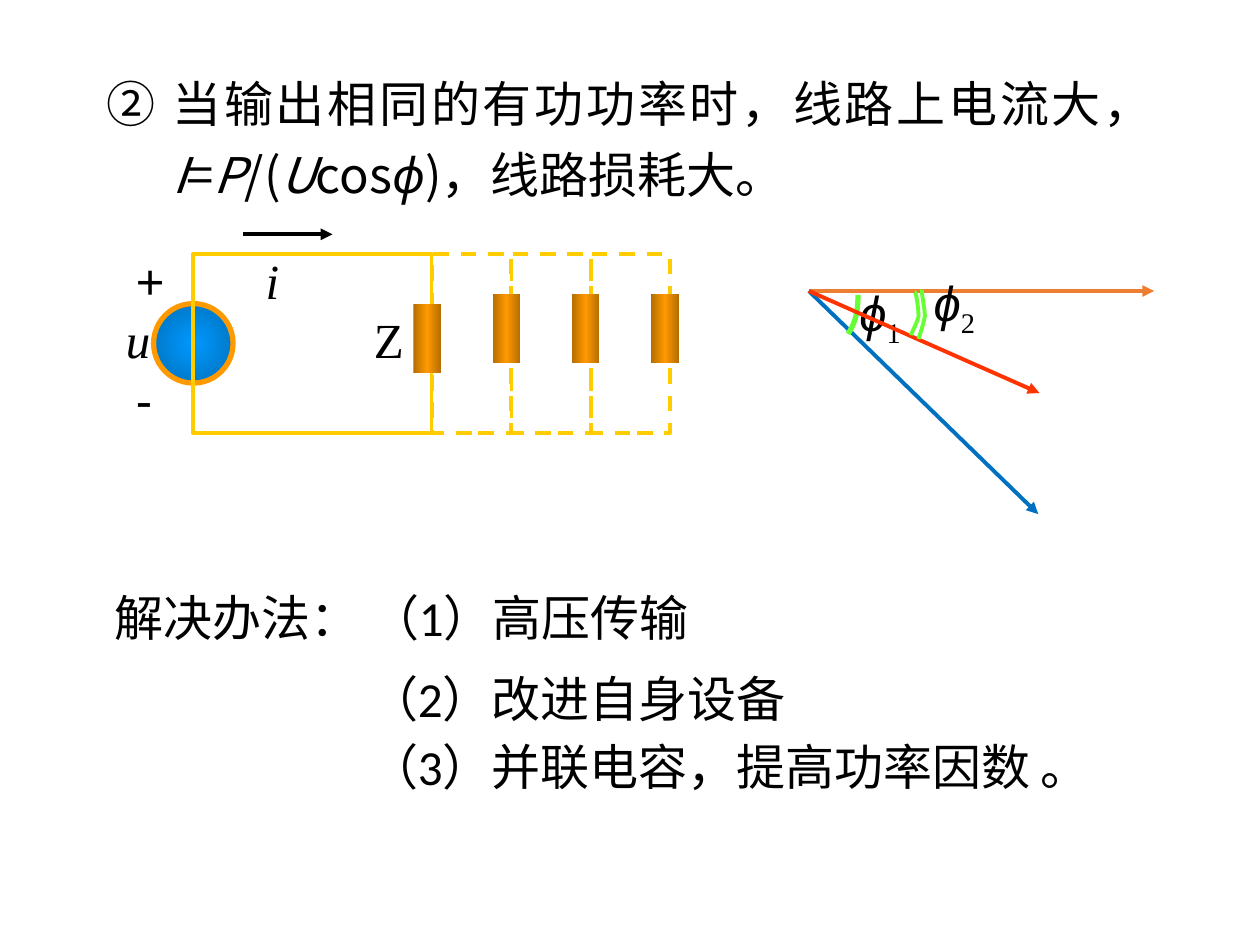
from lxml import etree
from pptx import Presentation
from pptx.dml.color import RGBColor
from pptx.enum.dml import MSO_LINE
from pptx.enum.shapes import MSO_CONNECTOR, MSO_SHAPE
from pptx.enum.text import MSO_ANCHOR, MSO_AUTO_SIZE, PP_ALIGN
from pptx.oxml.ns import qn
from pptx.util import Pt

BLACK = RGBColor(0x00, 0x00, 0x00)
YELLOW = RGBColor(0xFF, 0xCC, 0x00)
ORANGE = RGBColor(0xFF, 0x99, 0x00)
BROWN = RGBColor(0xB6, 0x6D, 0x00)
SKY = RGBColor(0x00, 0x99, 0xFF)
DEEP_BLUE = RGBColor(0x00, 0x6D, 0xB6)
COPPER = RGBColor(0xED, 0x7D, 0x31)
BLUE = RGBColor(0x00, 0x70, 0xC0)
RED = RGBColor(0xFF, 0x33, 0x00)
GREEN = RGBColor(0x66, 0xFF, 0x33)
RECTANGLE, OVAL = MSO_SHAPE.RECTANGLE, MSO_SHAPE.OVAL
STRAIGHT, DASH = MSO_CONNECTOR.STRAIGHT, MSO_LINE.DASH
LEFT, CENTER, JUSTIFY = PP_ALIGN.LEFT, PP_ALIGN.CENTER, PP_ALIGN.JUSTIFY
TOP, MIDDLE = MSO_ANCHOR.TOP, MSO_ANCHOR.MIDDLE
GROW = MSO_AUTO_SIZE.SHAPE_TO_FIT_TEXT
SANS, BODY, LATIN, SERIF = "Noto Sans CJK SC", "Calibri", "Arial", "Times New Roman"

ITALIC = {"italic": True}
SUBSCRIPT = {"font": SERIF, "baseline": -25000}
TITLE = [
    ("当输出相同的有功功率时，线路上电流大，", {}), ("I", ITALIC), ("=", {}), ("P", ITALIC),
    ("/(", {}), ("U", ITALIC), ("cos", {}), ("ϕ", ITALIC), (")，线路损耗大。", {}),
]
SOLUTIONS = [
    ("解决办法： （1）高压传输", {}),
    ("（2）改进自身设备", {"indent": 145.5, "spacing": 1.2, "before": 5.6}),
    ("（3）并联电容，提高功率因数 。", {"indent": 145.5, "before": 5.6}),
]
LABELS = [
    ("i", 144.7, 139.7, SERIF, True), ("+", 70.6, 139.7, LATIN, False),
    ("-", 70.6, 207.4, LATIN, False), ("u", 64.8, 173.5, SERIF, True),
    ("Z", 206.6, 173.5, SERIF, False),
]
ORIGIN = (462.2, 166.3)
VOLTAGE_END, FIRST_END, SECOND_END = (659.5, 166.3), (593.3, 293.8), (594, 224.6)
FIRST_ARC = [(484.6, 190.8), (488.9, 184.3), (490.3, 177.8), (490.3, 168.5)]
SECOND_ARCS = [
    [(522.7, 167), (523.4, 166.3), (524.9, 176.4), (524.9, 180.7),
     (524.2, 184.3), (521.3, 189.4), (520.6, 191.5)],
    [(527, 165.6), (526.3, 167), (528.5, 175.7), (528.5, 180.7),
     (527.8, 185), (525.6, 191.5), (524.9, 193.7)],
]
FRAME_LEFT, FRAME_TOP, FRAME_WIDTH, FRAME_HEIGHT = 110.2, 145.4, 136.4, 102.2
BRANCH_LEFT, BRANCH_WIDTH, BRANCH_COUNT = 247, 45.3, 3
LOAD_WIDTH, LOAD_HEIGHT = 15.8, 39.6
CURVE_STEPS = 12

deck = Presentation()
deck.slide_width, deck.slide_height = Pt(720), Pt(540)
page = deck.slides.add_slide(deck.slide_layouts[6])


def add_text(box, paragraph, spans, font=BODY):
    for text, style in spans:
        span = paragraph.add_run()
        span.text = text
        span.font.size = Pt(28)
        span.font.name = style.get("font", font)
        span.font.italic = style.get("italic", False)
        span.font.color.rgb = BLACK
        properties = span._r.get_or_add_rPr()
        if "baseline" in style:
            properties.set("baseline", str(style["baseline"]))
        etree.SubElement(properties, qn("a:ea"), typeface=SANS)


def add_box(text, left, top, width, height, font=BODY, align=LEFT, anchor=TOP,
            wrap=True, spacing=None):
    box = page.shapes.add_textbox(Pt(left), Pt(top), Pt(width), Pt(height))
    frame = box.text_frame
    frame.word_wrap, frame.auto_size, frame.vertical_anchor = wrap, GROW, anchor
    paragraph = frame.paragraphs[0]
    paragraph.alignment = align
    if spacing:
        paragraph.line_spacing = spacing
    spans = [(text, {})] if isinstance(text, str) else text
    add_text(box, paragraph, spans, font)
    return box


def add_figure(kind, left, top, width, height, line=None, weight=2.25, dash=None):
    figure = page.shapes.add_shape(kind, Pt(left), Pt(top), Pt(width), Pt(height))
    figure.shadow.inherit = False
    figure.fill.background()
    if line is None:
        figure.line.fill.background()
    else:
        figure.line.color.rgb, figure.line.width = line, Pt(weight)
        if dash:
            figure.line.dash_style = dash
    return figure


def set_gradient(figure, stops, radial=False):
    figure.fill.gradient()
    gradient = figure._element.spPr.find(qn("a:gradFill"))
    gradient.clear()
    stop_list = etree.SubElement(gradient, qn("a:gsLst"))
    for position, color in stops:
        stop = etree.SubElement(stop_list, qn("a:gs"), pos=str(position * 1000))
        etree.SubElement(stop, qn("a:srgbClr"), val=str(color))
    if radial:
        shade = etree.SubElement(gradient, qn("a:path"), path="circle")
        etree.SubElement(shade, qn("a:fillToRect"), l="50000", t="50000", r="50000", b="50000")
    else:
        etree.SubElement(gradient, qn("a:lin"), ang="0", scaled="1")


def add_load(left, top):
    load = add_figure(RECTANGLE, left, top, LOAD_WIDTH, LOAD_HEIGHT)
    set_gradient(load, [(0, BROWN), (50, ORANGE), (100, BROWN)])


def add_arrow(start, end, color):
    arrow = page.shapes.add_connector(STRAIGHT, *(Pt(value) for value in start + end))
    arrow.line.color.rgb, arrow.line.width = color, Pt(2.25)
    etree.SubElement(arrow.line._get_or_add_ln(), qn("a:tailEnd"), type="triangle")
    etree.SubElement(arrow._element.spPr, qn("a:effectLst"))


def curve_points(controls):
    points = [controls[0]]
    for first in range(0, len(controls) - 1, 3):
        a, b, c, d = controls[first:first + 4]
        for step in range(1, CURVE_STEPS + 1):
            t = step / CURVE_STEPS
            weights = ((1 - t) ** 3, 3 * t * (1 - t) ** 2, 3 * t * t * (1 - t), t ** 3)
            points.append(tuple(sum(w * v for w, v in zip(weights, axis))
                                for axis in zip(a, b, c, d)))
    return [(Pt(x), Pt(y)) for x, y in points]


def add_arc(controls, weight):
    start, *rest = curve_points(controls)
    builder = page.shapes.build_freeform(*start)
    builder.add_line_segments(rest, close=False)
    arc = builder.convert_to_shape()
    arc.shadow.inherit = False
    arc.fill.background()
    arc.line.color.rgb, arc.line.width = GREEN, Pt(weight)


def add_angle(number, left, top):
    add_box([("ϕ", ITALIC), (number, SUBSCRIPT)], left, top, 41, 41,
            font=LATIN, align=CENTER, anchor=MIDDLE, wrap=False)


for index in reversed(range(BRANCH_COUNT)):
    left = BRANCH_LEFT + index * BRANCH_WIDTH
    add_figure(RECTANGLE, left, FRAME_TOP, BRANCH_WIDTH, FRAME_HEIGHT, line=YELLOW, dash=DASH)
    add_load(left + BRANCH_WIDTH - 10.8, 167.8)

title = add_box(TITLE, 54, 31.7, 612, 85, font=SANS, align=JUSTIFY, spacing=1.2)
numbering = title.text_frame.paragraphs[0]._p.get_or_add_pPr()
numbering.set("marL", str(Pt(37.5)))
numbering.set("indent", str(-Pt(37.5)))
etree.SubElement(numbering, qn("a:buAutoNum"), type="circleNumDbPlain", startAt="2")

add_arrow(ORIGIN, VOLTAGE_END, COPPER)
add_arrow(ORIGIN, FIRST_END, BLUE)
add_arc(FIRST_ARC, 3)
add_angle("1", 482.4, 159.8)
add_arrow(ORIGIN, SECOND_END, RED)
for controls in SECOND_ARCS:
    add_arc(controls, 2.25)
add_angle("2", 524.9, 154.1)

solutions = add_box(SOLUTIONS[0][0], 58.3, 330.5, 601.2, 129.6, anchor=MIDDLE)
for text, layout in SOLUTIONS[1:]:
    paragraph = solutions.text_frame.add_paragraph()
    paragraph.space_before = Pt(layout["before"])
    paragraph.line_spacing = layout.get("spacing", 1.0)
    paragraph._p.get_or_add_pPr().set("marL", str(Pt(layout["indent"])))
    add_text(solutions, paragraph, [(text, {})])

source = add_figure(OVAL, 87.8, 173.5, 45.4, 45.4, line=ORANGE, weight=3)
set_gradient(source, [(0, SKY), (100, DEEP_BLUE)], radial=True)
add_figure(RECTANGLE, FRAME_LEFT, FRAME_TOP, FRAME_WIDTH, FRAME_HEIGHT, line=YELLOW)
add_arrow((139, 133.9), (190, 133.9), BLACK)
for text, left, top, font, italic in LABELS:
    add_box([(text, {"italic": italic})], left, top, 28.1, 41, font=font)
add_load(236.2, 173.5)

deck.save("out.pptx")
